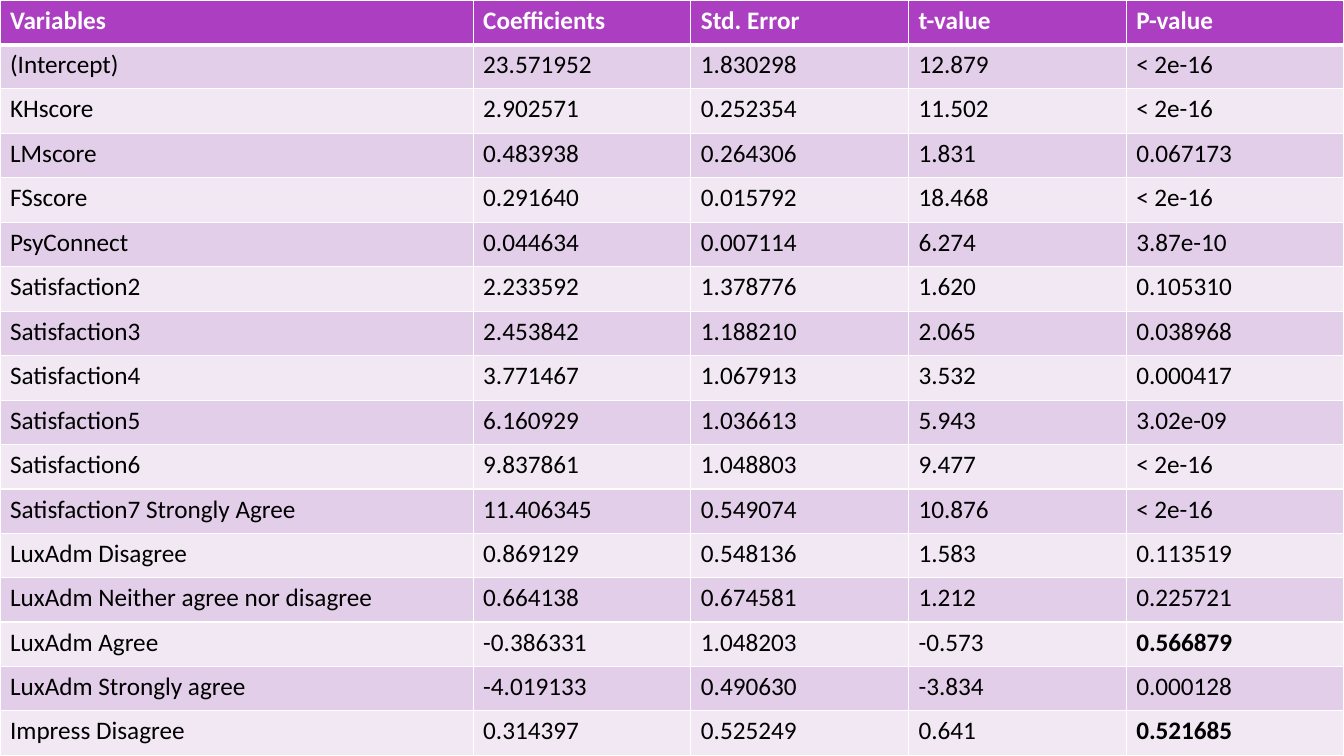
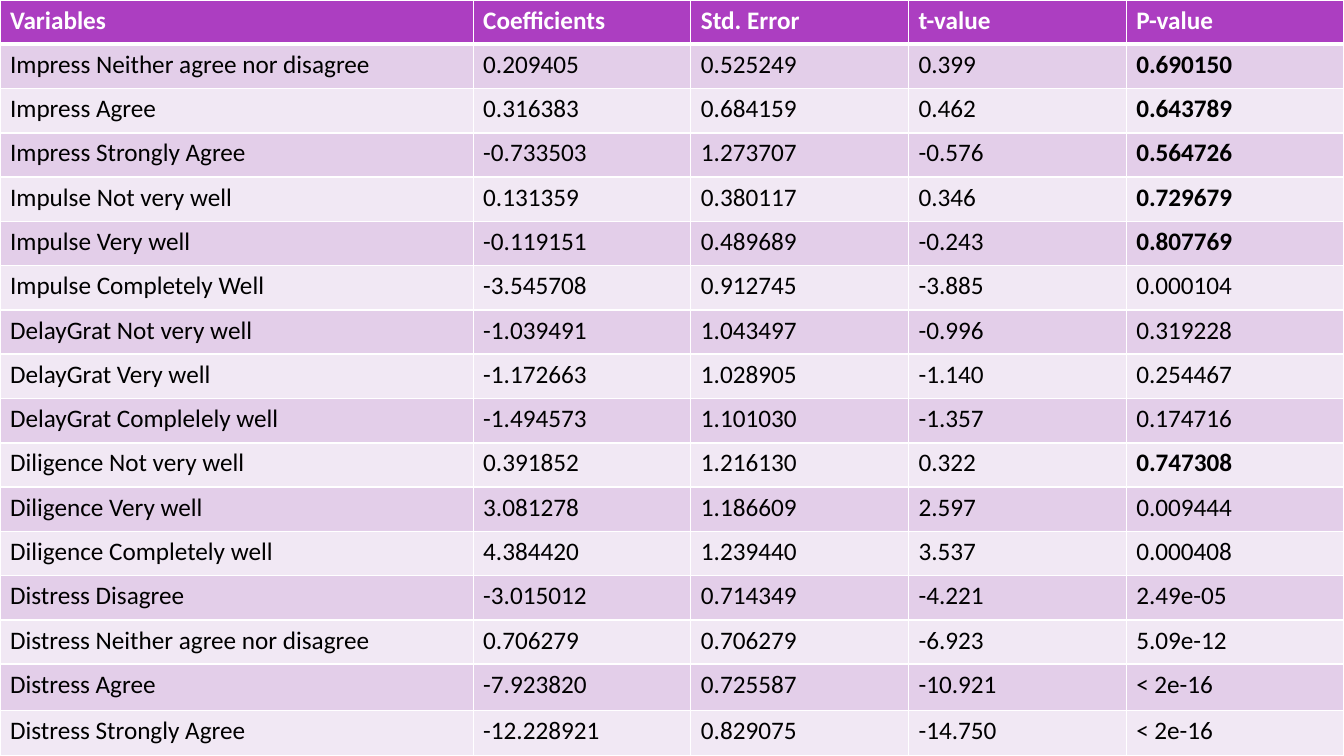
from lxml.etree import SubElement
from pptx import Presentation
from pptx.dml.color import RGBColor
from pptx.oxml.ns import qn
from pptx.util import Emu, Pt

PX = 6350
SLIDE_WIDTH, SLIDE_HEIGHT = 1920, 1080
COLUMN_WIDTHS = [676, 311, 311, 311, 311]

BLACK = RGBColor(0x00, 0x00, 0x00)
WHITE = RGBColor(0xFF, 0xFF, 0xFF)
PURPLE = RGBColor(0xAC, 0x3E, 0xC1)
LILAC = RGBColor(0xE3, 0xCE, 0xE9)
PALE_LILAC = RGBColor(0xF1, 0xE8, 0xF4)

BOLD_ABOVE = 0.5
HEADER = ("Variables", "Coefficients", "Std. Error", "t-value", "P-value")

SCORES_AND_SATISFACTION = [
    ("(Intercept)", "23.571952", "1.830298", "12.879", "< 2e-16"),
    ("KHscore", "2.902571", "0.252354", "11.502", "< 2e-16"),
    ("LMscore", "0.483938", "0.264306", "1.831", "0.067173"),
    ("FSscore", "0.291640", "0.015792", "18.468", "< 2e-16"),
    ("PsyConnect", "0.044634", "0.007114", "6.274", "3.87e-10"),
    ("Satisfaction2", "2.233592", "1.378776", "1.620", "0.105310"),
    ("Satisfaction3", "2.453842", "1.188210", "2.065", "0.038968"),
    ("Satisfaction4", "3.771467", "1.067913", "3.532", "0.000417"),
    ("Satisfaction5", "6.160929", "1.036613", "5.943", "3.02e-09"),
    ("Satisfaction6", "9.837861", "1.048803", "9.477", "< 2e-16"),
    ("Satisfaction7 Strongly Agree", "11.406345", "0.549074", "10.876", "< 2e-16"),
    ("LuxAdm Disagree", "0.869129", "0.548136", "1.583", "0.113519"),
    ("LuxAdm Neither agree nor disagree", "0.664138", "0.674581", "1.212", "0.225721"),
    ("LuxAdm Agree", "-0.386331", "1.048203", "-0.573", "0.566879"),
    ("LuxAdm Strongly agree", "-4.019133", "0.490630", "-3.834", "0.000128"),
    ("Impress Disagree", "0.314397", "0.525249", "0.641", "0.521685"),
]

IMPRESS_TO_DISTRESS = [
    ("Impress Neither agree nor disagree", "0.209405", "0.525249", "0.399", "0.690150"),
    ("Impress Agree", "0.316383", "0.684159", "0.462", "0.643789"),
    ("Impress Strongly Agree", "-0.733503", "1.273707", "-0.576", "0.564726"),
    ("Impulse Not very well", "0.131359", "0.380117", "0.346", "0.729679"),
    ("Impulse Very well", "-0.119151", "0.489689", "-0.243", "0.807769"),
    ("Impulse Completely Well", "-3.545708", "0.912745", "-3.885", "0.000104"),
    ("DelayGrat Not very well", "-1.039491", "1.043497", "-0.996", "0.319228"),
    ("DelayGrat Very well", "-1.172663", "1.028905", "-1.140", "0.254467"),
    ("DelayGrat Complelely well", "-1.494573", "1.101030", "-1.357", "0.174716"),
    ("Diligence Not very well", "0.391852", "1.216130", "0.322", "0.747308"),
    ("Diligence Very well", "3.081278", "1.186609", "2.597", "0.009444"),
    ("Diligence Completely well", "4.384420", "1.239440", "3.537", "0.000408"),
    ("Distress Disagree", "-3.015012", "0.714349", "-4.221", "2.49e-05"),
    ("Distress Neither agree nor disagree", "0.706279", "0.706279", "-6.923", "5.09e-12"),
    ("Distress Agree", "-7.923820", "0.725587", "-10.921", "< 2e-16"),
    ("Distress Strongly Agree", "-12.228921", "0.829075", "-14.750", "< 2e-16"),
]


def px(length):
    return Emu(length * PX)


def even_sizes(total, count):
    edges = [round(total * index / count) for index in range(count + 1)]
    return [end - start for start, end in zip(edges, edges[1:])]


def is_weak(p_value):
    return not p_value.startswith("<") and float(p_value) > BOLD_ABOVE


class RegressionDeck:
    """Holds the table style and the current slide of the regression results."""

    font_name = "Calibri"
    font_size = Pt(18)
    thin_border = Pt(1)
    header_border = Pt(3)

    def __init__(self):
        self.presentation = Presentation()
        self.presentation.slide_width = px(SLIDE_WIDTH)
        self.presentation.slide_height = px(SLIDE_HEIGHT)
        self.slide = None

    def add_slide(self):
        self.slide = self.presentation.slides.add_slide(self.presentation.slide_layouts[6])
        fill = self.slide.background.fill
        fill.solid()
        fill.fore_color.rgb = BLACK

    def add_border(self, cell, side, width):
        line = SubElement(cell._tc.get_or_add_tcPr(), qn(f"a:ln{side}"), w=str(width))
        SubElement(SubElement(line, qn("a:solidFill")), qn("a:srgbClr"), val=str(WHITE))

    def style_cell(self, cell, row, bold):
        for side in "LRTB":
            under_header = (row, side) in ((0, "B"), (1, "T"))
            self.add_border(cell, side, self.header_border if under_header else self.thin_border)
        cell.fill.solid()
        cell.fill.fore_color.rgb = PURPLE if row == 0 else LILAC if row % 2 else PALE_LILAC
        font = cell.text_frame.paragraphs[0].font
        font.name = self.font_name
        font.size = self.font_size
        font.bold = bold
        font.color.rgb = WHITE if row == 0 else BLACK

    def add_results_table(self, results, row_heights):
        records = [HEADER] + results
        frame = self.slide.shapes.add_table(
            len(records), len(HEADER), 0, 0, px(SLIDE_WIDTH), px(SLIDE_HEIGHT))
        table = frame.table
        for column, width in zip(table.columns, COLUMN_WIDTHS):
            column.width = px(width)
        for row, (record, height) in enumerate(zip(records, row_heights)):
            table.rows[row].height = px(height)
            for column, text in enumerate(record):
                cell = table.cell(row, column)
                cell.text = text
                is_p_value = column == len(HEADER) - 1
                self.style_cell(cell, row, row == 0 or (is_p_value and is_weak(text)))

    def save(self):
        self.presentation.save("out.pptx")


def main():
    deck = RegressionDeck()
    deck.add_slide()
    deck.add_results_table(SCORES_AND_SATISFACTION, even_sizes(SLIDE_HEIGHT, 17))
    deck.add_slide()
    last_heights = [66, 65]
    upper_heights = even_sizes(SLIDE_HEIGHT - sum(last_heights), 15)
    deck.add_results_table(IMPRESS_TO_DISTRESS, upper_heights + last_heights)
    deck.save()


if __name__ == "__main__":
    main()
